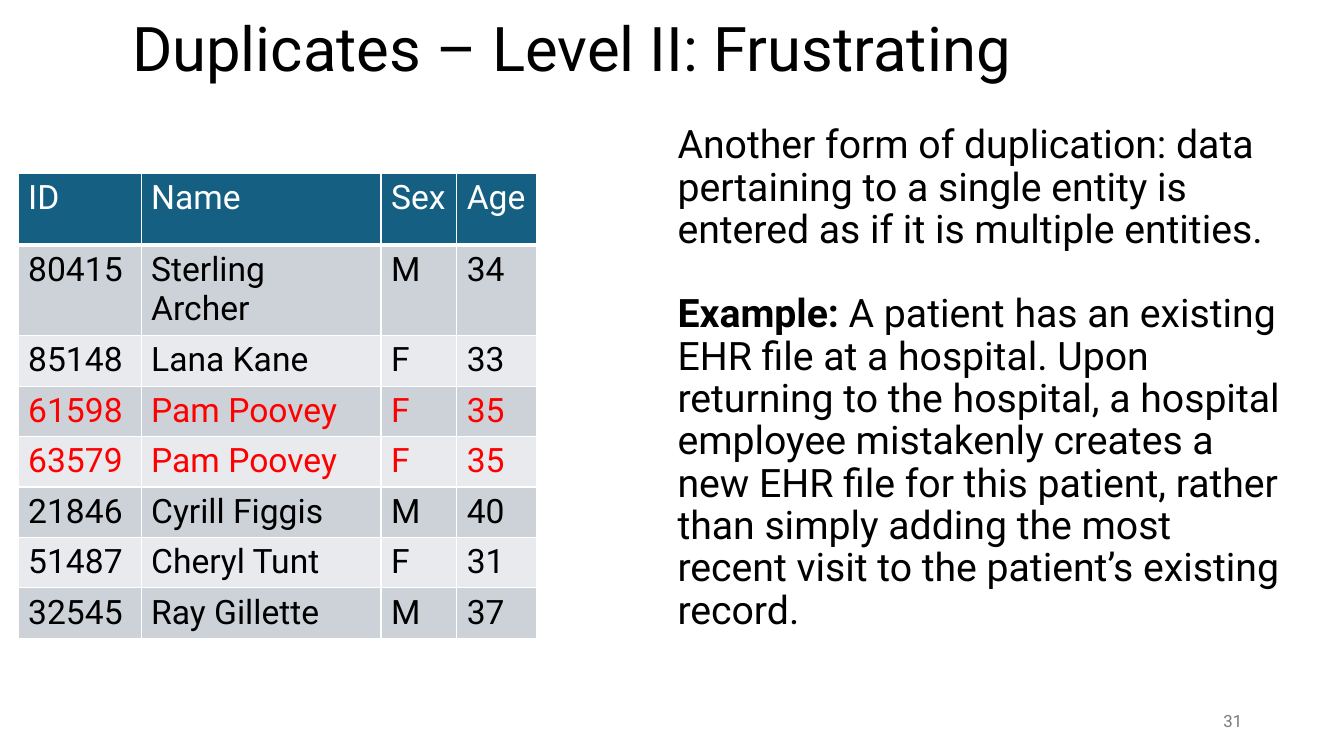
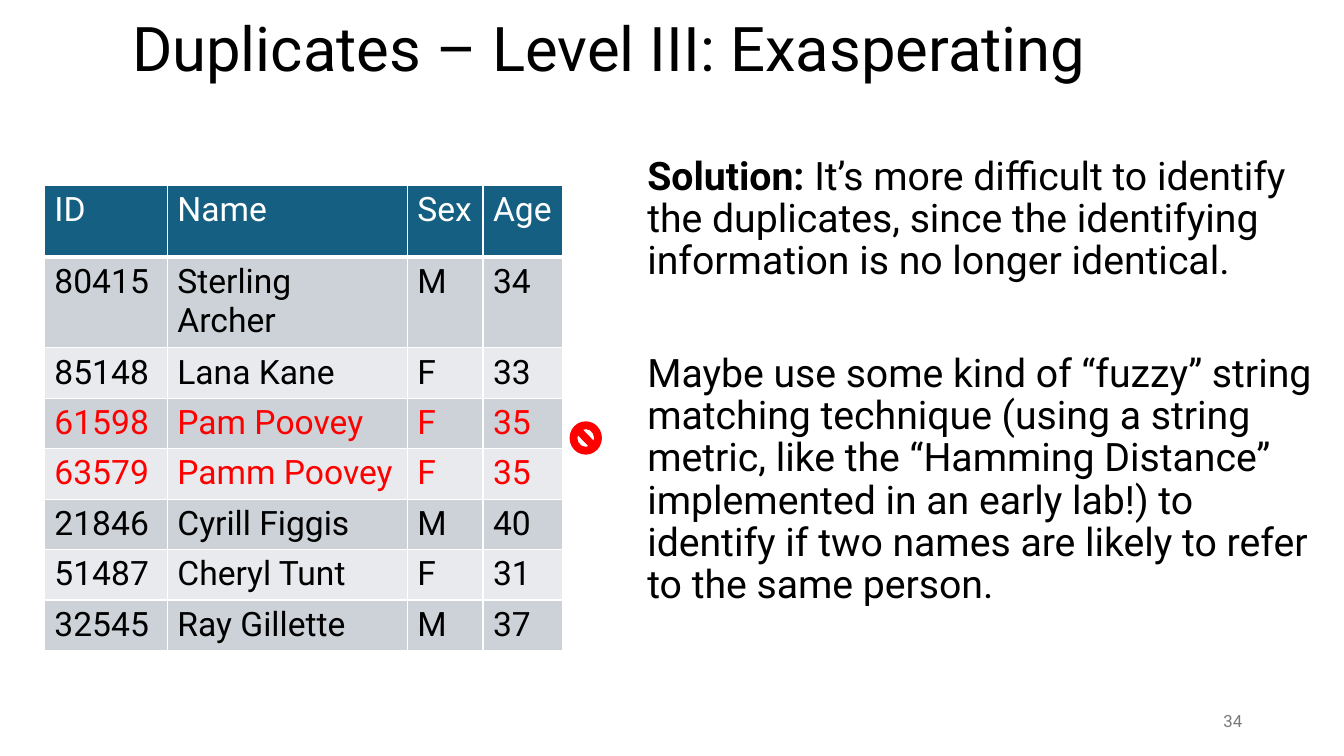
from dataclasses import dataclass

from lxml import etree
from pptx import Presentation
from pptx.dml.color import RGBColor
from pptx.enum import shapes, text
from pptx.oxml.ns import qn
from pptx.util import Inches, Pt

# Shared look
FONT = "Roboto"
BLACK, WHITE, RED, GREY = "000000", "FFFFFF", "FF0000", "797979"
HEAD, BANDS = "156082", ("CCD2D8", "E8EAED")
TITLE_BOX = (1.21, 0.12, 10.96, 0.79)
PAGE_BOX = (9.42, 6.95, 3, 0.4)

# Table grid
COLS = (1.22, 2.38, 0.75, 0.79)
HEAD_H, ROW_H = 0.71, 0.5
FIELDS = ("ID", "Name", "Sex", "Age")
TWINS = ("61598", "63579")

Box = tuple[float, float, float, float]


@dataclass
class Person:
    id: str
    name: str
    sex: str
    age: int


@dataclass
class Para:
    lead: str
    text: str
    gap: int = 10


@dataclass
class Page:
    title: str
    num: int
    body: Box
    paras: list[Para]
    left: float
    top: float
    twin: str
    ban: Box | None = None


def color(code: str) -> RGBColor:
    return RGBColor.from_string(code)


def write(para, words: str, size: int = 28, tint: str = BLACK,
          bold: bool = False, align=text.PP_ALIGN.LEFT) -> None:
    """Add one formatted run to a paragraph."""
    para.alignment = align
    run = para.add_run()
    run.text = words
    font = run.font
    font.name, font.size, font.bold = FONT, Pt(size), bold
    font.color.rgb = color(tint)


def place(shape, box: Box) -> None:
    shape.left, shape.top, shape.width, shape.height = map(Inches, box)


def plain(para) -> None:
    """Remove the bullet and its indent."""
    props = para._p.get_or_add_pPr()
    props.set("marL", "0")
    props.set("indent", "0")
    etree.SubElement(props, qn("a:buNone"))


def edge(cell, base: float) -> None:
    """Draw white borders; base is the width of the lower one."""
    props = cell._tc.get_or_add_tcPr()
    for side, width in (("L", 1), ("R", 1), ("T", 1), ("B", base)):
        line = etree.SubElement(props, qn(f"a:ln{side}"), w=str(Pt(width)))
        fill = etree.SubElement(line, qn("a:solidFill"))
        etree.SubElement(fill, qn("a:srgbClr"), val=WHITE)


def add_title(slide, words: str) -> None:
    title = slide.shapes.title
    place(title, TITLE_BOX)
    frame = title.text_frame
    frame.auto_size = text.MSO_AUTO_SIZE.NONE
    frame.vertical_anchor = text.MSO_ANCHOR.MIDDLE
    para = frame.paragraphs[0]
    para.line_spacing = 0.9
    write(para, words, size=44)


def add_body(slide, box: Box, paras: list[Para]) -> None:
    body = slide.placeholders[1]
    place(body, box)
    frame = body.text_frame
    frame.auto_size = text.MSO_AUTO_SIZE.NONE
    for i, item in enumerate(paras):
        para = frame.add_paragraph() if i else frame.paragraphs[0]
        para.line_spacing, para.space_before = 0.9, Pt(item.gap)
        plain(para)
        if item.lead:
            write(para, item.lead, bold=True)
        write(para, item.text)


def add_num(slide, num: int) -> None:
    frame = slide.shapes.add_textbox(*map(Inches, PAGE_BOX)).text_frame
    frame.word_wrap = True
    frame.vertical_anchor = text.MSO_ANCHOR.MIDDLE
    write(frame.paragraphs[0], str(num), size=12, tint=GREY,
          align=text.PP_ALIGN.RIGHT)


def add_grid(slide, left: float, top: float, people: list[Person]) -> None:
    rows = [FIELDS] + [(p.id, p.name, p.sex, str(p.age)) for p in people]
    high = HEAD_H + ROW_H * len(people)
    grid = slide.shapes.add_table(
        len(rows), len(COLS), Inches(left), Inches(top),
        Inches(sum(COLS)), Inches(high)).table
    for col, width in zip(grid.columns, COLS):
        col.width = Inches(width)
    for r, row in enumerate(rows):
        grid.rows[r].height = Inches(ROW_H if r else HEAD_H)
        tint = RED if row[0] in TWINS else BLACK if r else WHITE
        for c, words in enumerate(row):
            cell = grid.cell(r, c)
            edge(cell, 1 if r else 3)
            cell.fill.solid()
            cell.fill.fore_color.rgb = color(BANDS[(r - 1) % 2] if r else HEAD)
            write(cell.text_frame.paragraphs[0], words, size=24, tint=tint)


def add_ban(slide, box: Box) -> None:
    sign = slide.shapes.add_shape(
        shapes.MSO_SHAPE.NO_SYMBOL, *map(Inches, box))
    sign.shadow.inherit = False
    sign.fill.solid()
    sign.fill.fore_color.rgb = color(RED)
    sign.line.color.rgb = color(RED)
    sign.line.width = Pt(1.5)


def roster(twin: str) -> list[Person]:
    """List the patients, with the second entry of the twin as spelled."""
    return [
        Person("80415", "Sterling Archer", "M", 34),
        Person("85148", "Lana Kane", "F", 33),
        Person(TWINS[0], "Pam Poovey", "F", 35),
        Person(TWINS[1], twin, "F", 35),
        Person("21846", "Cyrill Figgis", "M", 40),
        Person("51487", "Cheryl Tunt", "F", 31),
        Person("32545", "Ray Gillette", "M", 37),
    ]


PAGES = [
    Page(
        "Duplicates – Level II: Frustrating", 31, (6.62, 1.19, 6.26, 6.01),
        [Para("", "Another form of duplication: data pertaining to a single "
                  "entity is entered as if it is multiple entities."),
         Para("Example:", " A patient has an existing EHR file at a hospital. "
              "Upon returning to the hospital, a hospital employee mistakenly "
              "creates a new EHR file for this patient, rather than simply "
              "adding the most recent visit to the patient’s existing "
              "record.", gap=30)],
        0.18, 1.72, "Pam Poovey"),
    Page(
        "Duplicates – Level III: Exasperating", 34, (6.32, 1.5, 6.8, 6.01),
        [Para("Solution: ", "It’s more difficult to identify the duplicates, "
              "since the identifying information is no longer identical."),
         Para("", "Maybe use some kind of “fuzzy” string matching technique "
                  "(using a string metric, like the “Hamming Distance” "
                  "implemented in an early lab!) to identify if two names are "
                  "likely to refer to the same person.", gap=50)],
        0.44, 1.84, "Pamm Poovey", ban=(5.66, 4.19, 0.3, 0.31)),
]


def main() -> None:
    deck = Presentation()
    deck.slide_width, deck.slide_height = Inches(13.33), Inches(7.5)
    for page in PAGES:
        slide = deck.slides.add_slide(deck.slide_layouts[1])
        add_title(slide, page.title)
        add_body(slide, page.body, page.paras)
        add_num(slide, page.num)
        add_grid(slide, page.left, page.top, roster(page.twin))
        if page.ban:
            add_ban(slide, page.ban)
    deck.save("out.pptx")


if __name__ == "__main__":
    main()
